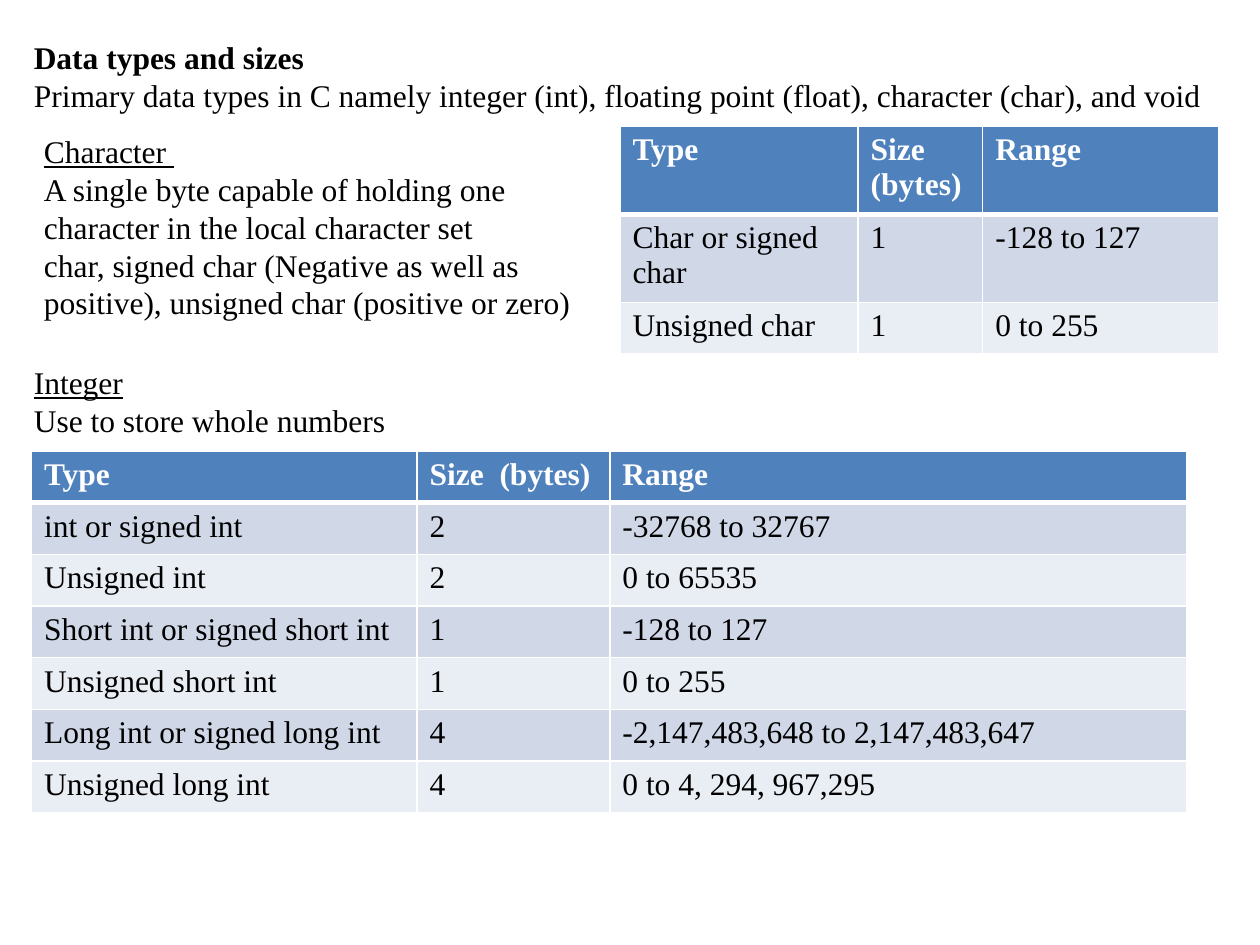
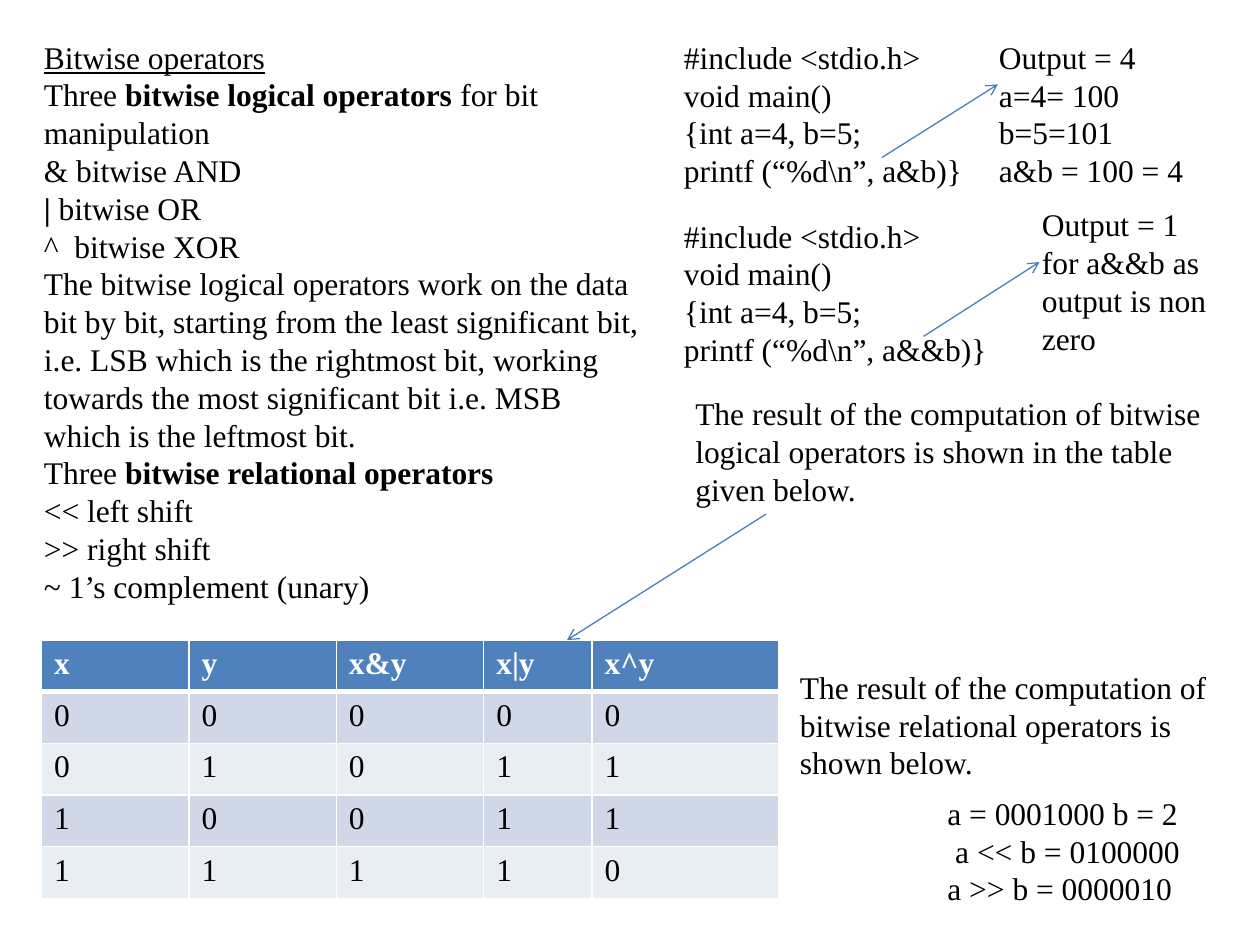
from lxml.etree import SubElement
from pptx import Presentation
from pptx.dml.color import RGBColor
from pptx.enum.shapes import MSO_CONNECTOR
from pptx.enum.text import MSO_AUTO_SIZE
from pptx.oxml.ns import qn
from pptx.util import Inches, Pt

FONT = "Times New Roman"
TEXT_SIZE = Pt(18)
BLACK = RGBColor(0x00, 0x00, 0x00)
WHITE = RGBColor(0xFF, 0xFF, 0xFF)
HEADER_BLUE = RGBColor(0x4F, 0x81, 0xBD)
ARROW_BLUE = RGBColor(0x4B, 0x7E, 0xBC)
BANDS = [RGBColor(0xE9, 0xED, 0xF4), RGBColor(0xD0, 0xD8, 0xE8)]
ROW_HEIGHT = Inches(0.41)


def write(frame, paragraphs, color=BLACK):
    """Fill a text frame; a paragraph is a list of (text, style), style being "", "b" or "u"."""
    for index, runs in enumerate(paragraphs):
        para = frame.paragraphs[0] if index == 0 else frame.add_paragraph()
        for text, style in runs:
            span = para.add_run()
            span.text = text
            span.font.name = FONT
            span.font.size = TEXT_SIZE
            span.font.color.rgb = color
            span.font.bold = style == "b"
            span.font.underline = style == "u"


def add_banded_table(page, left, top, widths, rows):
    """Add a table with a blue header, banded rows and white borders."""
    frame = page.shapes.add_table(
        len(rows), len(widths), Inches(left), Inches(top),
        Inches(sum(widths)), ROW_HEIGHT * len(rows))
    table = frame.table
    for column, width in zip(table.columns, widths):
        column.width = Inches(width)
    for r, values in enumerate(rows):
        table.rows[r].height = ROW_HEIGHT
        for c, value in enumerate(values):
            cell = table.cell(r, c)
            properties = cell._tc.get_or_add_tcPr()
            for side in ("lnL", "lnR", "lnT", "lnB"):
                under_header = (r, side) in ((0, "lnB"), (1, "lnT"))
                border = SubElement(properties, qn(f"a:{side}"), w=str(Pt(3 if under_header else 1)))
                fill = SubElement(border, qn("a:solidFill"))
                SubElement(fill, qn("a:srgbClr"), val=str(WHITE))
            cell.fill.solid()
            cell.fill.fore_color.rgb = BANDS[r % 2] if r else HEADER_BLUE
            write(cell.text_frame, [[(value, "" if r else "b")]], BLACK if r else WHITE)


deck = Presentation()
deck.slide_width = Inches(10)
deck.slide_height = Inches(7.5)
blank = deck.slide_layouts[6]
types_page = deck.slides.add_slide(blank)
bitwise_page = deck.slides.add_slide(blank)

# Text boxes: page, (left, top, width, height), paragraphs
texts = [
    (types_page, (0.17, 0.25, 9.67, 0.71), [
        [("Data types and sizes", "b")],
        [("Primary data types in C namely integer (int), floating point (float), "
          "character (char), and void", "")],
    ]),
    (types_page, (0.25, 1, 4.42, 1.62), [
        [("Character ", "u")],
        [("A single byte capable of holding one", "")],
        [("character in the local character set", "")],
        [("char, signed char (Negative as well as", "")],
        [("positive), unsigned char (positive or zero)", "")],
    ]),
    (types_page, (0.17, 2.83, 4.58, 0.71), [
        [("Integer", "u")],
        [("Use to store whole numbers", "")],
    ]),
    (bitwise_page, (0.25, 0.25, 4.92, 4.64), [
        [("Bitwise operators", "u")],
        [("Three ", ""), ("bitwise logical operators ", "b"), ("for bit manipulation", "")],
        [("& bitwise AND", "")],
        [("|", "b"), (" bitwise OR", "")],
        [("^  bitwise XOR", "")],
        [("The bitwise logical operators work on the data bit by bit, starting from the "
          "least significant bit, i.e. LSB which is the rightmost bit, working towards "
          "the most significant bit i.e. MSB which is the leftmost bit.", "")],
        [("Three ", ""), ("bitwise relational operators", "b")],
        [("<< left shift", "")],
        [(">> right shift", "")],
        [("~ 1’s complement (unary)", "")],
    ]),
    (bitwise_page, (7.83, 0.25, 1.75, 1.31), [
        [("Output = 4", "")],
        [("a=4= 100", "")],
        [("b=5=101", "")],
        [("a&b = 100 = 4", "")],
    ]),
    (bitwise_page, (8.17, 1.58, 1.58, 1.31), [
        [("Output = 1 for a&&b as output is non zero", "")],
    ]),
    (bitwise_page, (5.42, 3.08, 4.33, 1.01), [
        [("The result of the computation of bitwise logical operators is shown "
          "in the table given below.", "")],
    ]),
    (bitwise_page, (6.25, 5.25, 3.5, 1.01), [
        [("The result of the computation of bitwise relational operators is shown below.", "")],
    ]),
    (bitwise_page, (7.42, 6.25, 2.08, 1.01), [
        [("a = 0001000 b = 2", "")],
        [(" a << b = 0100000", "")],
        [("a >> b = 0000010", "")],
    ]),
]

# The two sample programs differ only in the printed expression
for top, width, expression in [(0.25, 2.42, "a&b"), (1.67, 2.67, "a&&b")]:
    texts.append((bitwise_page, (5.33, top, width, 1.31), [
        [("#include <stdio.h>", "")],
        [("void main()", "")],
        [("{int a=4, b=5;", "")],
        [(f"printf (“%d\\n”, {expression})}}", "")],
    ]))

for page, place, paragraphs in texts:
    box = page.shapes.add_textbox(*map(Inches, place))
    box.text_frame.word_wrap = True
    box.text_frame.auto_size = MSO_AUTO_SIZE.SHAPE_TO_FIT_TEXT
    write(box.text_frame, paragraphs)

type_header = ("Type", "Size  (bytes)", "Range")
add_banded_table(types_page, 4.92, 1, [1.89, 0.99, 1.87], [
    type_header,
    ("Char or signed char", "1", "-128 to 127"),
    ("Unsigned char", "1", "0 to 255"),
])
add_banded_table(types_page, 0.25, 3.58, [3.06, 1.53, 4.58], [
    type_header,
    ("int or signed int", "2", "-32768 to 32767"),
    ("Unsigned int", "2", "0 to 65535"),
    ("Short int or signed short int", "1", "-128 to 127"),
    ("Unsigned short int", "1", "0 to 255"),
    ("Long int or signed long int", "4", "-2,147,483,648 to 2,147,483,647"),
    ("Unsigned long int", "4", "0 to 4, 294, 967,295"),
])

truth_rows = [("x", "y", "x&y", "x|y", "x^y")]
for x in (0, 1):
    for y in (0, 1):
        truth_rows.append([str(bit) for bit in (x, y, x & y, x | y, x ^ y)])
add_banded_table(bitwise_page, 0.33, 5.08, [1.17, 1.17, 1.17, 0.86, 1.48], truth_rows)

# Arrows from code to output and from the note to the truth table
for ends in [(7, 1.25, 7.92, 0.67), (7.33, 2.67, 8.25, 2.08), (6.08, 4.08, 4.5, 5.08)]:
    arrow = bitwise_page.shapes.add_connector(MSO_CONNECTOR.STRAIGHT, *map(Inches, ends))
    arrow.line.color.rgb = ARROW_BLUE
    arrow.line.width = Pt(0.75)
    SubElement(arrow.line._get_or_add_ln(), qn("a:tailEnd"), type="arrow")
    SubElement(arrow._element.spPr, qn("a:effectLst"))

deck.save("out.pptx")
